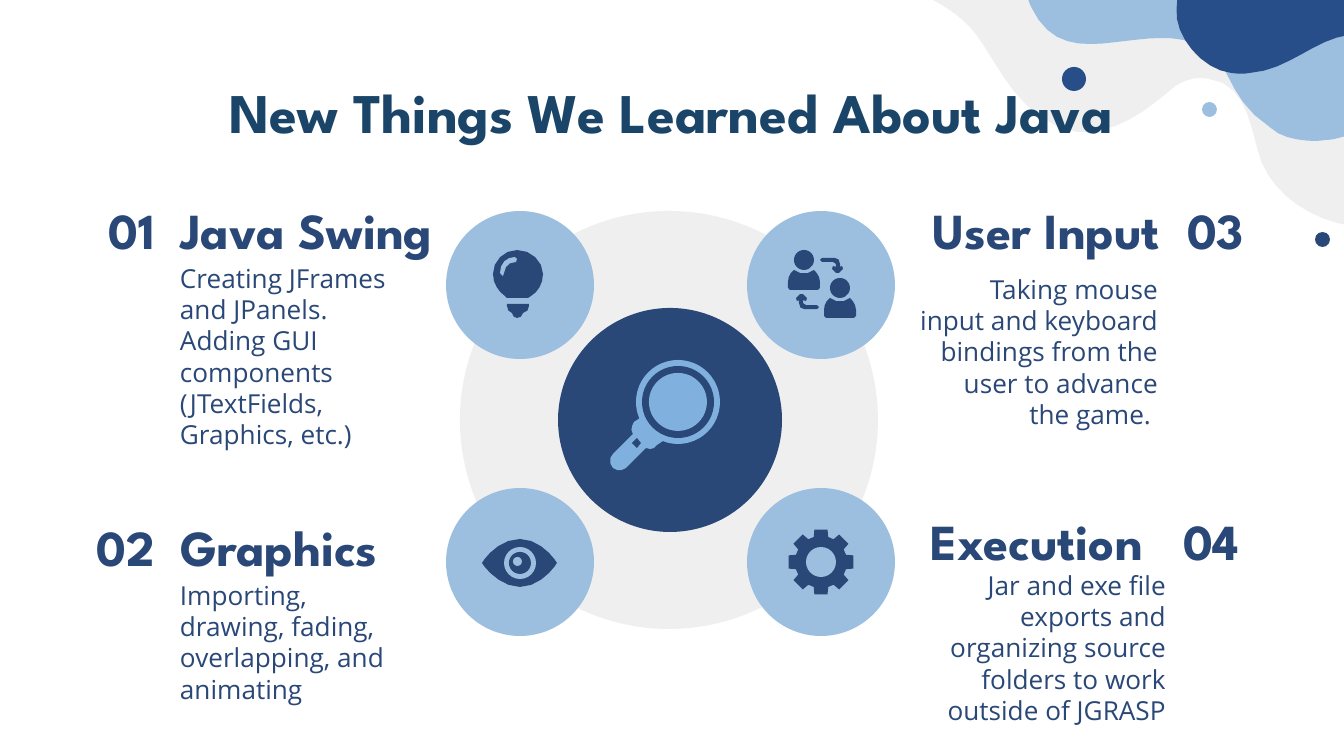
from math import cos, dist, pi, sin, sqrt

from pptx import Presentation
from pptx.dml.color import RGBColor
from pptx.enum.shapes import MSO_SHAPE as Kind
from pptx.enum.text import MSO_ANCHOR as Anchor, PP_ALIGN as Align
from pptx.util import Emu, Pt

SCALE = 914400 / 134.4  # EMU in one px
FINE = 10  # outline units in one px
NAVY, BLUE, SKY, LENS = "294777", "284E89", "9DBFDF", "80B0DD"
GREY, TEAL = "EFEFEF", "1A4568"
HEAD, BODY = "League Spartan", "Open Sans"

# Outlines: a pair is a line to a point, six numbers are a Bezier curve
GREY_WAVE = [
    (934, -17), (895, -12), (898, -8, 926, -3, 933, 0),
    (946, 7, 958, 15, 969, 26), (993, 50, 1015, 122, 1077, 132),
    (1085, 132), (1128, 132, 1164, 94, 1177, 85),
    (1184, 81, 1192, 78, 1200, 78), (1208, 78, 1216, 81, 1223, 83),
    (1251, 99, 1251, 134, 1262, 163), (1276, 196, 1312, 220, 1351, 226),
    (1366, 3), (1207, -9)]
SKY_WAVE = [
    (1316, 141), (1351, 141, 1379, 120, 1379, 120), (1379, -11), (1024, -11),
    (1039, 35, 1062, 44, 1090, 44), (1113, 44, 1137, 38, 1163, 38),
    (1172, 38, 1181, 39, 1191, 42), (1234, 52, 1220, 95, 1271, 128),
    (1281, 138, 1301, 141, 1316, 141)]
BLUE_WAVE = [
    (1250, 73), (1245, 74, 1238, 74, 1231, 73), (1206, 70, 1181, 44, 1177, 19),
    (1175, 0, 1179, -28, 1200, -44), (1207, -50, 1215, -52, 1222, -52),
    (1238, -52), (1300, -44, 1364, -36, 1426, -42), (1443, -43),
    (1439, 0), (1437, 13, 1431, 36, 1418, 44), (1407, 47),
    (1395, 48, 1379, 34, 1349, 35), (1315, 39, 1289, 70, 1250, 73)]
BULB = [
    (517, 250), (504, 250, 493, 261, 493, 274), (493, 284, 499, 292, 505, 296),
    (507, 298), (528, 298), (531, 296),
    (538, 292, 543, 284, 543, 274), (543, 261, 531, 250, 517, 250)]
GLINT = [
    (515, 257), (517, 259), (516, 262), (509, 262, 505, 266, 504, 273),
    (503, 276), (500, 273), (500, 263, 507, 257, 515, 257)]
SOCKET = [
    (507, 304), (507, 306), (507, 309, 509, 313, 512, 313),
    (512, 316, 515, 318, 517, 318), (521, 318, 522, 316, 523, 313),
    (527, 313, 529, 309, 529, 306), (529, 304)]
EYE = [
    (520, 539), (499, 539, 484, 559, 482, 563), (484, 567, 500, 587, 520, 587),
    (540, 587, 555, 567, 557, 563), (555, 559, 540, 539, 520, 539)]
HANDLE = [
    (640, 418), (634, 422), (632, 426, 630, 430, 633, 434), (613, 454),
    (609, 457, 609, 464, 613, 468), (617, 471, 622, 471, 626, 468), (646, 448),
    (650, 450, 655, 449, 657, 445), (663, 441)]
NOTCH = [(637, 438), (641, 443), (637, 448), (632, 443)]
TORSO = [
    (794, 270), (790, 273, 788, 277, 788, 282), (788, 288), (790, 290),
    (818, 290), (820, 288), (820, 282), (820, 277, 817, 273, 814, 270),
    (808, 275, 800, 275, 794, 270)]
ARROW = [
    (822, 258), (820, 260), (822, 262), (833, 262), (836, 264), (836, 267),
    (833, 266), (832, 269), (836, 273), (839, 273), (843, 269), (842, 266),
    (840, 267), (840, 264), (840, 260, 838, 258, 835, 258)]


def px(n):
    return Emu(round(n * SCALE))


def rgb(code):
    return RGBColor.from_string(code)


def paint(shape, color):
    shape.shadow.inherit = False
    shape.fill.solid()
    shape.fill.fore_color.rgb = rgb(color)
    shape.line.fill.background()


def disc(slide, x, y, size, color):
    shape = slide.shapes.add_shape(Kind.OVAL, px(x), px(y), px(size), px(size))
    paint(shape, color)


def gear(x, y, teeth=8):
    edge = [(26, -.28), (33, -.2), (33, .2), (26, .28)]
    spots = [(r, 2 * pi * i / teeth + a) for i in range(teeth) for r, a in edge]
    return [(x + r * cos(a), y + r * sin(a)) for r, a in spots]


def trace(steps):
    """Turn lines and curves into points, more of them on longer curves."""
    dots = []
    for step in steps:
        if len(step) == 2:
            dots.append(step)
            continue
        x, y = dots[-1]
        a, b, c, d, e, f = step
        count = max(2, round(0.75 * sqrt(dist((x, y), (e, f)))))
        for i in range(1, count + 1):
            t = i / count
            u = 1 - t
            w = (u ** 3, 3 * u * u * t, 3 * u * t * t, t ** 3)
            dots.append((w[0] * x + w[1] * a + w[2] * c + w[3] * e,
                         w[0] * y + w[1] * b + w[2] * d + w[3] * f))
    return dots


def blob(slide, color, steps, shift=(0, 0)):
    dots = [((x + shift[0]) * FINE, (y + shift[1]) * FINE)
            for x, y in trace(steps)]
    pen = slide.shapes.build_freeform(*dots[0], scale=SCALE / FINE)
    pen.add_line_segments(dots[1:], close=True)
    shape = pen.convert_to_shape()
    paint(shape, color)
    return shape


def label(slide, box, text, size, font=HEAD, color=NAVY,
          align=Align.LEFT, anchor=Anchor.MIDDLE):
    frame = slide.shapes.add_textbox(*map(px, box)).text_frame
    frame.word_wrap = True
    frame.vertical_anchor = anchor
    frame.margin_left = frame.margin_right = px(13)
    frame.margin_top = frame.margin_bottom = px(13)
    frame.text = text
    para = frame.paragraphs[0]
    para.alignment = align
    face = para.runs[0].font
    face.name, face.size, face.bold = font, Pt(size), font == HEAD
    face.color.rgb = rgb(color)


def topic(slide, num, num_box, head, head_box, text, text_box, sides):
    label(slide, num_box, num, 27, align=sides[0])
    label(slide, head_box, head, 27, align=sides[1])
    label(slide, text_box, text, 14, BODY, align=sides[2], anchor=Anchor.TOP)


def corner(slide):
    for color, wave in ((GREY, GREY_WAVE), (SKY, SKY_WAVE), (BLUE, BLUE_WAVE)):
        blob(slide, color, wave)
    disc(slide, 1062, 67, 24, BLUE)
    disc(slide, 1202, 102, 15, SKY)
    disc(slide, 1315, 232, 15, NAVY)


def icons(slide):
    # Eye
    blob(slide, NAVY, EYE)
    disc(slide, 504, 547, 32, SKY)
    disc(slide, 509, 552, 22, NAVY)
    disc(slide, 513, 557, 9, SKY)
    # Light bulb
    blob(slide, NAVY, BULB)
    blob(slide, SKY, GLINT)
    blob(slide, NAVY, SOCKET)
    # Magnifier
    blob(slide, LENS, HANDLE)
    blob(slide, NAVY, NOTCH)
    disc(slide, 636, 360, 84, LENS)
    disc(slide, 642, 366, 72, NAVY)
    disc(slide, 649, 373, 58, LENS)
    # Gear
    blob(slide, NAVY, gear(821, 562))
    disc(slide, 806, 547, 30, SKY)
    # Two people trading places
    for dx, dy in ((0, 0), (36, 28)):
        disc(slide, 794 + dx, 250 + dy, 20, NAVY)
        blob(slide, NAVY, TORSO, (dx, dy))
    blob(slide, NAVY, ARROW)
    blob(slide, NAVY, ARROW, (-24, 36)).rotation = 180


def main():
    deck = Presentation()
    deck.slide_width, deck.slide_height = px(1344), px(756)
    slide = deck.slides.add_slide(deck.slide_layouts[6])
    corner(slide)

    # Title
    label(slide, (79, 65, 1185, 85), "New Things We Learned About Java", 30,
          color=TEAL, align=Align.CENTER, anchor=Anchor.TOP)

    # Wheel
    disc(slide, 460, 211, 418, GREY)
    disc(slide, 558, 308, 224, NAVY)
    for y in (211, 488):
        for x in (446, 747):
            disc(slide, x, y, 148, SKY)
    icons(slide)

    # Topics
    left, right = Align.LEFT, Align.RIGHT
    topic(slide, "01", (70, 203, 98, 52), "Java Swing", (167, 203, 319, 52),
          "Creating JFrames and JPanels. Adding GUI components "
          "(JTextFields, Graphics, etc.)",
          (167, 249, 254, 202), (right, left, left))
    topic(slide, "02", (70, 520, 98, 52), "Graphics", (167, 520, 319, 52),
          "Importing, drawing, fading, overlapping, and animating",
          (167, 566, 254, 110), (right, left, left))
    topic(slide, "03", (1174, 203, 159, 52), "User Input", (855, 203, 318, 52),
          "Taking mouse input and keyboard bindings from the user to advance "
          "the game. ", (906, 260, 265, 202), (left, right, right))
    topic(slide, "04", (1170, 514, 159, 52), " Execution", (904, 514, 292, 52),
          "Jar and exe file exports and organizing source folders to work "
          "outside of JGRASP", (888, 556, 291, 175), (left, left, right))
    deck.save("out.pptx")


if __name__ == "__main__":
    main()
